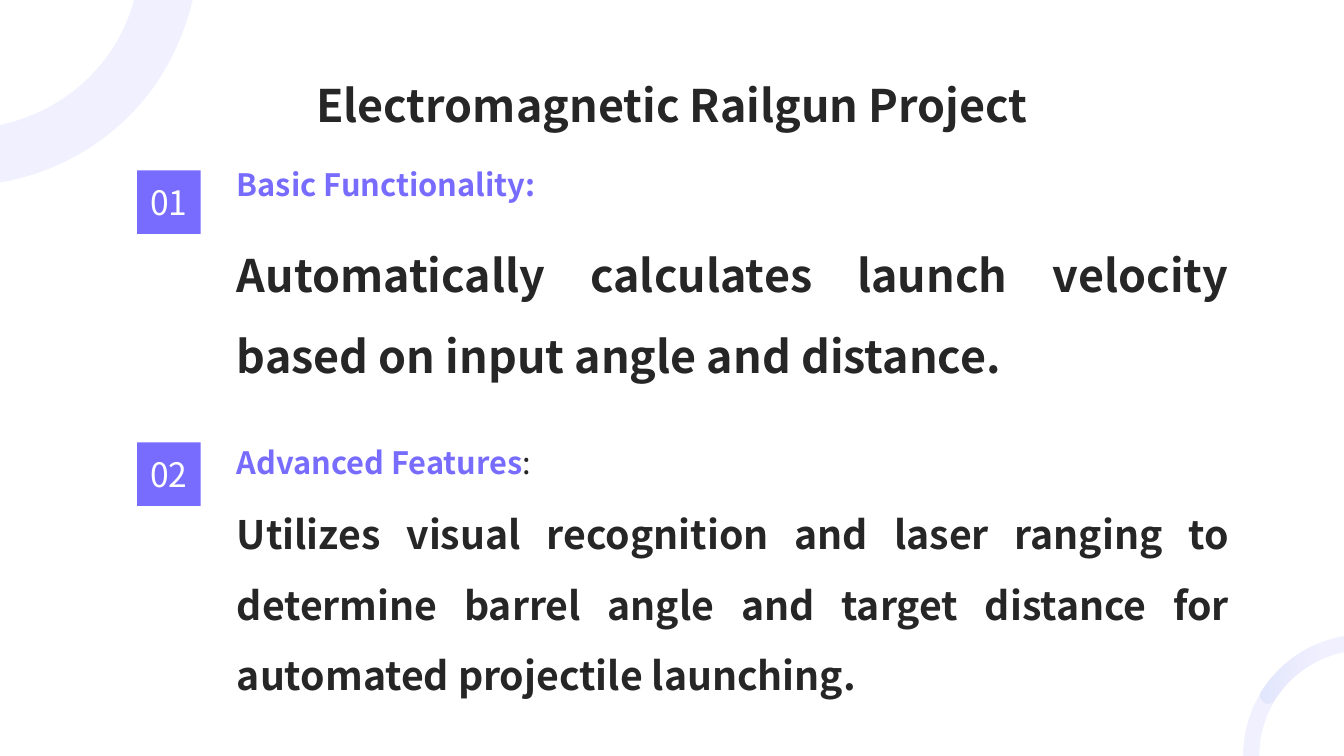
from lxml.etree import SubElement
from pptx import Presentation
from pptx.dml.color import RGBColor as Rgb
from pptx.enum.shapes import MSO_SHAPE as Kind
from pptx.enum.text import MSO_ANCHOR as Anchor, PP_ALIGN as Align
from pptx.oxml.ns import qn
from pptx.util import Inches, Pt

COLORS = {"ink": "262626", "violet": "776CFD", "blue": "5D95F1", "white": "FFFFFF"}
FONT = "Noto Sans CJK SC"
TITLE = "Electromagnetic Railgun Project"
ITEMS = [
    {"num": "01", "head": [("Basic Functionality:", "violet", True)],
     "body": "Automatically calculates launch velocity based on input angle and distance.",
     "size": 32, "tops": (1.69, 1.75, 2.19)},
    {"num": "02", "head": [("Advanced Features", "violet", True), (":", "ink", False)],
     "body": "Utilizes visual recognition and laser ranging to determine barrel angle "
             "and target distance for automated projectile launching.",
     "size": 28, "tops": (4.39, 4.51, 4.83)},
]
ARCS = [
    [(0, 1.24), (0.42, 1.15, 0.8, 0.92, 1.07, 0.55), (1.19, 0.38, 1.28, 0.19, 1.33, 0),
     (1.91, 0), (1.84, 0.3, 1.71, 0.6, 1.52, 0.87), (1.14, 1.39, 0.59, 1.71, 0, 1.81)],
    [(13.33, 6.31), (12.76, 6.41, 12.33, 6.9, 12.33, 7.5), (12.49, 7.5),
     (12.49, 6.99, 12.85, 6.57, 13.33, 6.47)],
    [(13.33, 6.31), (13.33, 6.47), (13.04, 6.53, 12.8, 6.7, 12.64, 6.94),
     (12.62, 6.98, 12.57, 6.99, 12.54, 6.97), (12.5, 6.94, 12.49, 6.89, 12.51, 6.86),
     (12.69, 6.57, 12.99, 6.37, 13.33, 6.31)],
]
TEXT_X, TEXT_W, BODY_H, HEAD_H = 2.35, 9.84, 1.96, 0.5
HEAD_LIFT = 0.35
BADGE_X, BADGE = 1.36, 0.63


def tint(name):
    return Rgb.from_string(COLORS[name])


def fade(node, share):
    for color in node.iter(qn("a:srgbClr")):
        SubElement(color, qn("a:alpha"), val=str(share * 1000))


def bend(arc, parts):
    lines = iter(list(arc._element.iter(qn("a:lnTo"))))
    for part in parts:
        group = [next(lines) for _ in range(len(part) // 2)]
        if len(group) == 3:
            curve = group[0]
            for line in group[1:]:
                curve.append(line[0])
                line.getparent().remove(line)
            curve.tag = qn("a:cubicBezTo")


def add_arc(slide, outline):
    start, *parts = outline
    pen = slide.shapes.build_freeform(*map(Inches, start), scale=1.0)
    pen.add_line_segments([(Inches(part[i]), Inches(part[i + 1]))
                           for part in parts for i in range(0, len(part), 2)])
    arc = pen.convert_to_shape()
    bend(arc, parts)
    arc.shadow.inherit = False
    arc.line.fill.background()
    return arc


def write(shape, runs, size, align, anchor, spacing=None, lift=0):
    frame = shape.text_frame
    layout = {"word_wrap": True, "vertical_anchor": anchor, "margin_left": 0,
              "margin_right": 0, "margin_top": 0, "margin_bottom": Inches(lift)}
    for key, value in layout.items():
        setattr(frame, key, value)
    para = frame.paragraphs[0]
    para.alignment = align
    if spacing:
        para.line_spacing = spacing
    for text, color, bold in runs:
        run = para.add_run()
        run.text = text
        for key, value in {"name": FONT, "size": Pt(size), "bold": bold}.items():
            setattr(run.font, key, value)
        run.font.color.rgb = tint(color)


def add_text(slide, top, height, *style, **extra):
    box = slide.shapes.add_textbox(*map(Inches, (TEXT_X, top, TEXT_W, height)))
    write(box, *style, **extra)


def add_item(slide, item):
    badge_y, head_y, body_y = item["tops"]
    add_text(slide, body_y, BODY_H, [(item["body"], "ink", True)], item["size"],
             Align.JUSTIFY, Anchor.TOP, spacing=1.5)
    add_text(slide, head_y, HEAD_H, item["head"], 22,
             Align.JUSTIFY, Anchor.MIDDLE, lift=HEAD_LIFT)
    badge = slide.shapes.add_shape(
        Kind.RECTANGLE, *map(Inches, (BADGE_X, badge_y, BADGE, BADGE)))
    badge.shadow.inherit = False
    badge.fill.solid()
    badge.fill.fore_color.rgb = tint("violet")
    badge.line.fill.background()
    write(badge, [(item["num"], "white", False)], 24, Align.CENTER, Anchor.MIDDLE)


def main():
    deck = Presentation()
    deck.slide_width, deck.slide_height = Inches(13.33), Inches(7.5)
    slide = deck.slides.add_slide(deck.slide_layouts[5])

    *rings, glow = [add_arc(slide, outline) for outline in ARCS]
    for ring in rings:
        ring.fill.solid()
        ring.fill.fore_color.rgb = tint("violet")
        fade(ring._element.spPr, 10)
    glow.fill.gradient()
    glow.fill.gradient_angle = 359
    for stop, (place, share) in zip(glow.fill.gradient_stops, [(0, 10), (0.7, 0)]):
        stop.position = place
        stop.color.rgb = tint("blue")
        fade(stop._gs, share)

    title = slide.shapes.title
    spot = {"left": 0.76, "top": 0.43, "width": 11.81, "height": 0.87}
    for key, value in spot.items():
        setattr(title, key, Inches(value))
    write(title, [(TITLE, "ink", True)], 32, Align.CENTER, Anchor.BOTTOM)

    for item in ITEMS:
        add_item(slide, item)
    deck.save("out.pptx")


if __name__ == "__main__":
    main()
